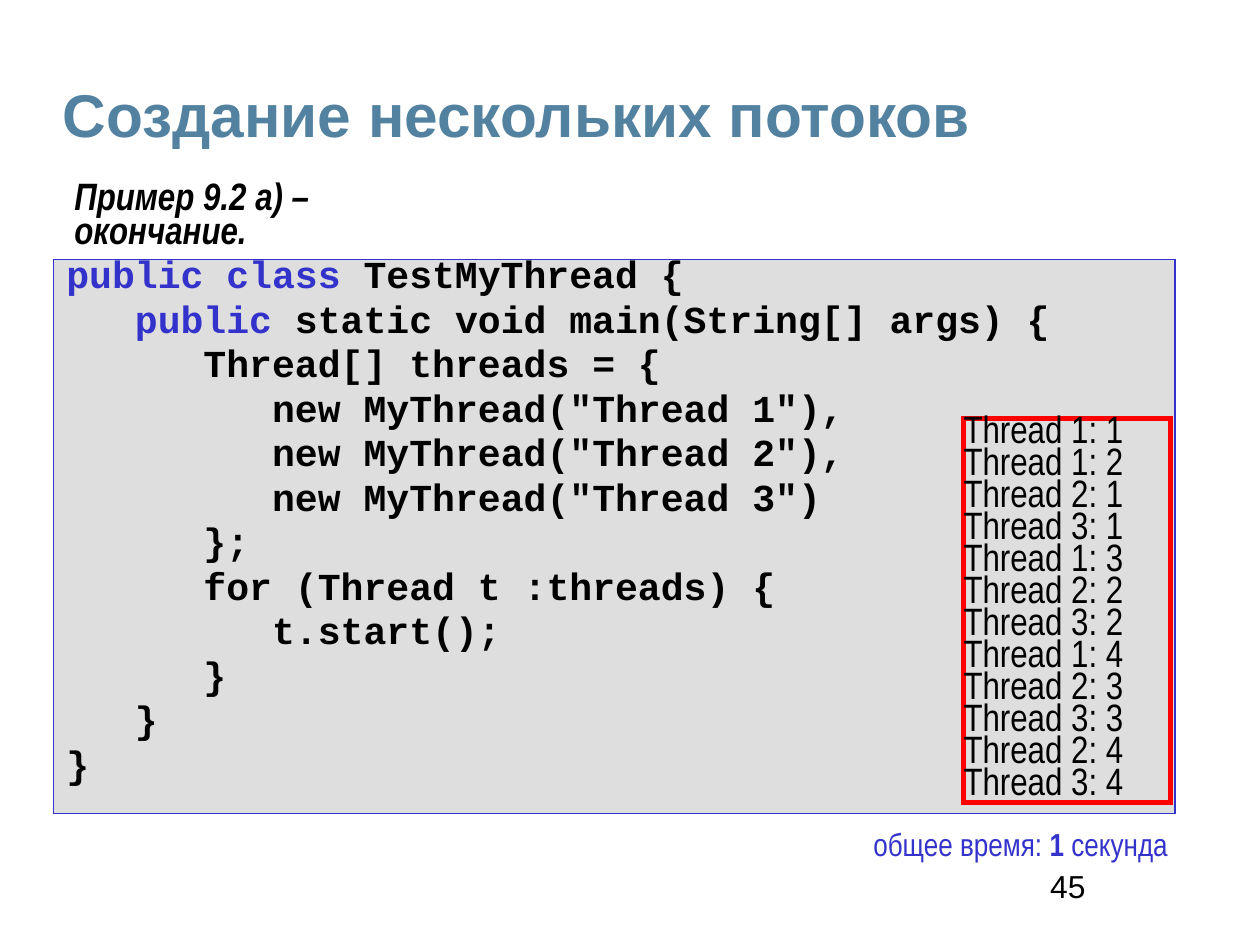
from lxml import etree
from pptx import Presentation
from pptx.dml.color import RGBColor
from pptx.enum import shapes, text
from pptx.oxml.ns import qn
from pptx.util import Inches, Pt

BLACK = RGBColor(0x00, 0x00, 0x00)
BLUE = RGBColor(0x33, 0x33, 0xCC)
TEAL = RGBColor(0x53, 0x82, 0xA1)
GRAY = RGBColor(0xDE, 0xDE, 0xDE)
RED = RGBColor(0xFF, 0x00, 0x00)

# Slide of 28 by 21 cm
prs = Presentation()
prs.slide_width, prs.slide_height = Inches(28 / 2.54), Inches(21 / 2.54)
s = prs.slides.add_slide(prs.slide_layouts[6])


def write(sp, lines, fmt, spacing, before=0, wrap=True, inset=(0, 0),
          anchor=text.MSO_ANCHOR.TOP):
    """Fill a shape; each line is a list of (words, format changes) runs."""
    tf = sp.text_frame
    tf.word_wrap = wrap
    if not wrap:
        tf.auto_size = text.MSO_AUTO_SIZE.SHAPE_TO_FIT_TEXT
    tf.vertical_anchor = anchor
    tf.margin_left = tf.margin_right = Inches(inset[0])
    tf.margin_top = tf.margin_bottom = Inches(inset[1])
    for i, line in enumerate(lines):
        p = tf.paragraphs[0] if i == 0 else tf.add_paragraph()
        p.alignment = text.PP_ALIGN.LEFT
        p.line_spacing = spacing
        p.space_before = Pt(before if i else 0)
        for words, changes in line:
            r = p.add_run()
            r.text = words
            look = {"color": BLACK, **fmt, **changes}
            r.font.color.rgb = look.pop("color")
            for name, value in look.items():
                setattr(r.font, name, value)


def add_box(at, line_color, line_width, fill=None):
    """Add a rectangle with sharp corners."""
    sp = s.shapes.add_shape(shapes.MSO_SHAPE.RECTANGLE, *map(Inches, at))
    sp.shadow.inherit = False
    if fill is None:
        sp.fill.background()
    else:
        sp.fill.solid()
        sp.fill.fore_color.rgb = fill
    sp.line.color.rgb = line_color
    sp.line.width = Pt(line_width)
    ln = sp.element.spPr.find(qn("a:ln"))
    etree.SubElement(ln, qn("a:miter"), lim="800000")
    return sp


# Page number
sp = s.shapes.add_textbox(Inches(9.09), Inches(7.58), Inches(1.47), Inches(0.39))
write(sp, [[("45", {})]], {"name": "Arial", "size": Pt(20)}, 0.87, inset=(0.1, 0.05))

# Code listing
keyword = {"color": BLUE}
code = [
    [("public class", keyword), (" TestMyThread {", {})],
    [("   public", keyword), (" static void main(String[] args) {", {})],
]
code += [[(line, {})] for line in (
    "      Thread[] threads = {",
    '         new MyThread("Thread 1"),',
    '         new MyThread("Thread 2"),',
    '         new MyThread("Thread 3")',
    "      };",
    "      for (Thread t :threads) {",
    "         t.start();",
    "      }",
    "   }",
    "}",
)]
sp = add_box((0.47, 2.27, 9.81, 4.85), BLUE, 0.75, GRAY)
write(sp, code, {"name": "Courier New", "size": Pt(24), "bold": True}, 0.8,
      before=5, inset=(0.11, 0))

# Title
sp = s.shapes.add_textbox(Inches(0.55), Inches(0.67), Inches(9.99), Inches(0.76))
write(sp, [[("Создание нескольких потоков", {})]],
      {"name": "Arial", "size": Pt(38), "bold": True, "color": TEAL}, 0.8,
      anchor=text.MSO_ANCHOR.MIDDLE)

# Example caption
sp = s.shapes.add_textbox(Inches(0.65), Inches(1.6), Inches(3.64), Inches(0.3))
write(sp, [[("Пример 9.2 a) – окончание.", {})]],
      {"name": "Arial Narrow", "size": Pt(24), "bold": True, "italic": True}, 0.75,
      wrap=False)

# Program output: thread number and its counter
steps = [(1, 1), (1, 2), (2, 1), (3, 1), (1, 3), (2, 2),
         (3, 2), (1, 4), (2, 3), (3, 3), (2, 4), (3, 4)]
sp = add_box((8.43, 3.66, 1.81, 3.36), RED, 3)
write(sp, [[(f"Thread {thread}: {count}", {})] for thread, count in steps],
      {"name": "Arial Narrow", "size": Pt(24)}, 0.7)

# Total time
sp = s.shapes.add_textbox(Inches(7.64), Inches(7.31), Inches(2.58), Inches(0.23))
write(sp, [[("общее время: ", {}), ("1 ", {"bold": True}), ("секунда", {})]],
      {"name": "Arial Narrow", "size": Pt(20), "color": BLUE}, 0.7, wrap=False)

prs.save("out.pptx")
